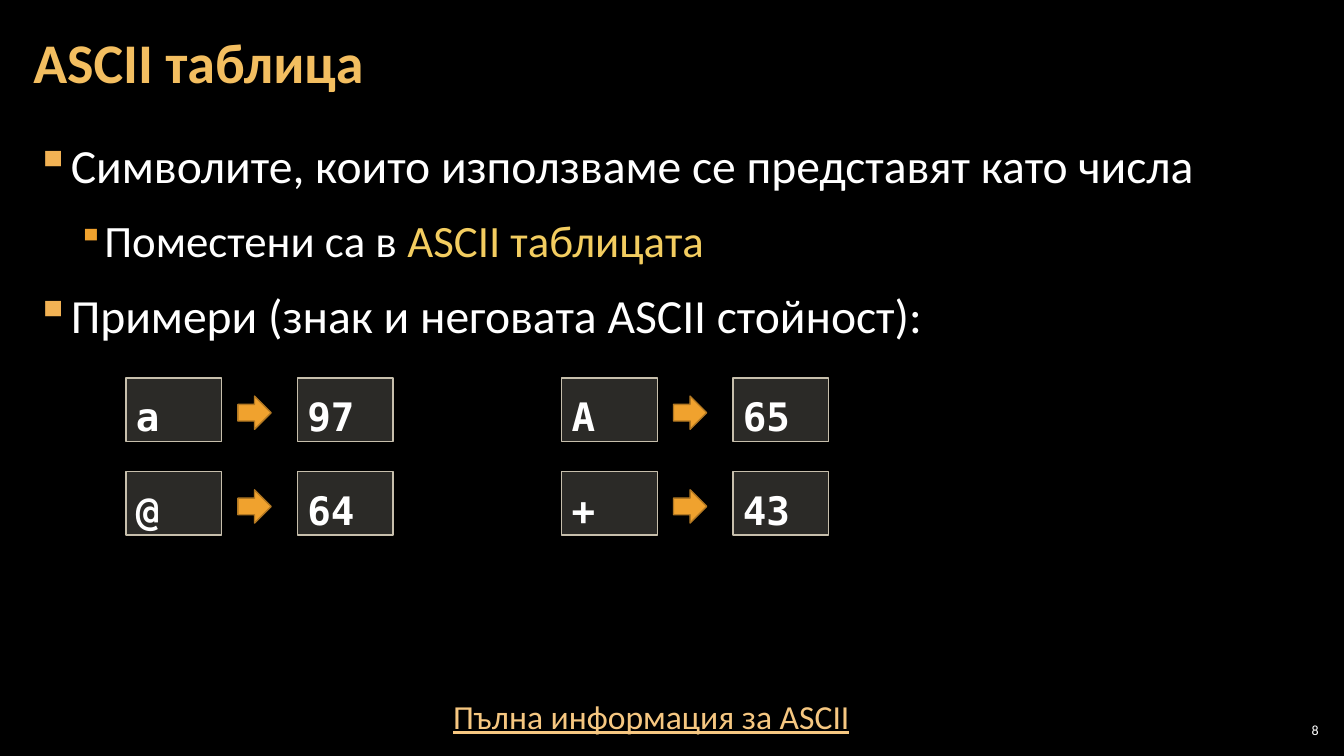
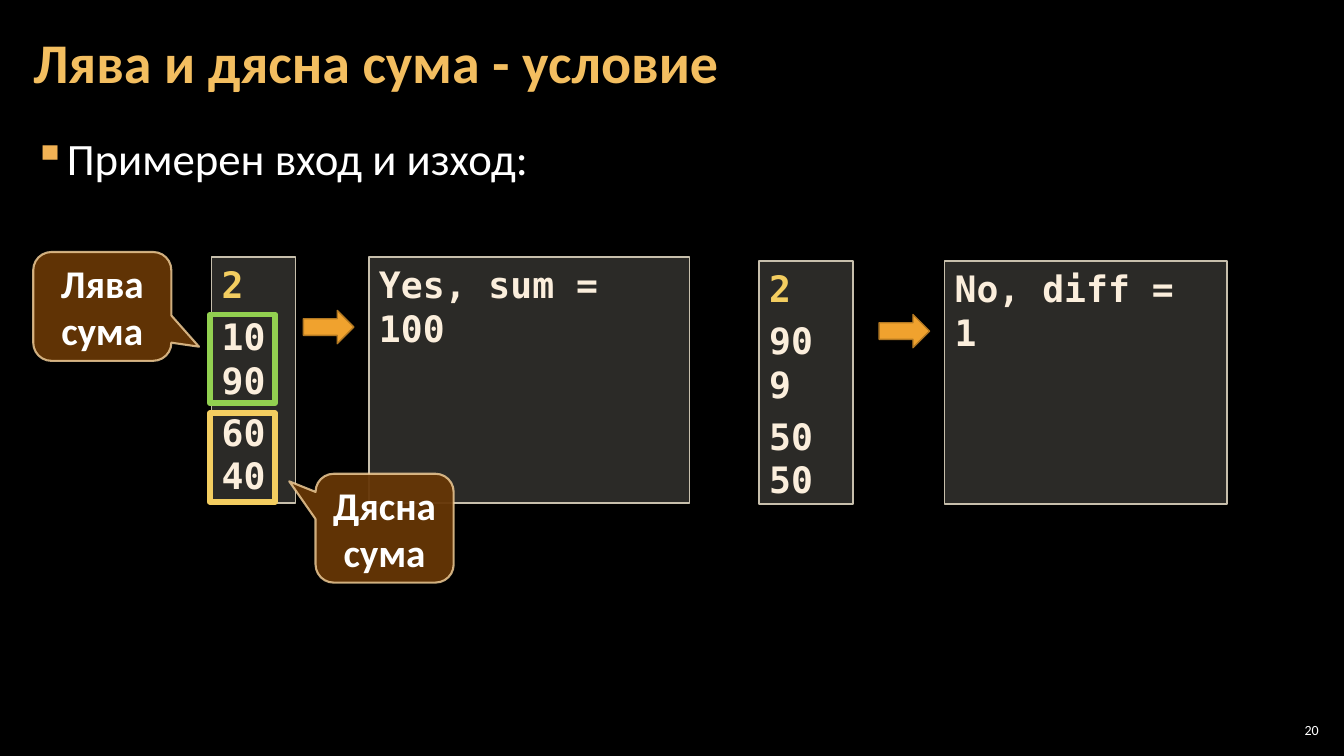
from dataclasses import dataclass

from lxml import etree
from pptx import Presentation
from pptx.dml.color import RGBColor
from pptx.enum import shapes, text
from pptx.oxml import ns
from pptx.util import Inches, Pt

SHAPE = shapes.MSO_SHAPE
ANCHOR = text.MSO_ANCHOR
ALIGN = text.PP_ALIGN


@dataclass(frozen=True)
class Theme:
    background: str = "000000"
    white: str = "FFFFFF"
    title: str = "F3BE60"
    highlight: str = "F3CD60"
    cream: str = "FBEEDC"
    link: str = "F6C781"
    bullets: tuple = ("F2B254", "F0A22E")
    panel: str = "D9D5C7"
    panel_line: str = "C7BFAC"
    arrow: str = "F0A22E"
    arrow_line: str = "B27822"
    callout: str = "663606"
    callout_line: str = "F8D49E"
    left_frame: str = "92D050"
    body_font: str = "Calibri"
    code_font: str = "DejaVu Sans Mono"
    title_size: int = 40
    body_size: int = 32
    large_body_size: int = 34
    label_size: int = 28
    code_size: int = 26
    link_size: int = 24
    number_size: int = 10


THEME = Theme()


def rgb(color):
    return RGBColor.from_string(color)


def write(frame, content, *, size, color=THEME.white, font=THEME.body_font, bold=False,
          underline=False, align=ALIGN.LEFT, spacing=1.0, before=0, after=0):
    """Add a paragraph; content is a string or a list of (string, color) runs."""
    first = frame.paragraphs[0]
    paragraph = frame.add_paragraph() if first.runs else first
    paragraph.alignment = align
    paragraph.line_spacing = spacing
    paragraph.space_before, paragraph.space_after = Pt(before), Pt(after)
    for words, run_color in [(content, color)] if isinstance(content, str) else content:
        run = paragraph.add_run()
        run.text = words
        run.font.name, run.font.size = font, Pt(size)
        run.font.bold, run.font.underline = bold, underline
        run.font.color.rgb = rgb(run_color)
    return paragraph


def add_bullet(paragraph, level):
    paragraph.level = level
    properties = paragraph._p.get_or_add_pPr()
    margin, hanging = ((0.33, 0.33), (0.67, 0.25))[level]
    properties.set("marL", str(Inches(margin)))
    properties.set("indent", str(-Inches(hanging)))
    tint = etree.SubElement(properties, ns.qn("a:buClr"))
    etree.SubElement(tint, ns.qn("a:srgbClr"), val=THEME.bullets[level])
    etree.SubElement(properties, ns.qn("a:buSzPct"), val=("100000", "80000")[level])
    etree.SubElement(properties, ns.qn("a:buChar"), char="▪")


def set_opacity(shape, fill_or_line, percent):
    for tint in shape._element.spPr.xpath(f"./{fill_or_line}/a:srgbClr"):
        etree.SubElement(tint, ns.qn("a:alpha"), val=str(percent * 1000))


def set_frame(frame, anchor=ANCHOR.TOP, side=0.1, edge=0.05):
    frame.word_wrap = True
    frame.auto_size = text.MSO_AUTO_SIZE.NONE
    frame.vertical_anchor = anchor
    frame.margin_left = frame.margin_right = Inches(side)
    frame.margin_top = frame.margin_bottom = Inches(edge)
    return frame


class Deck:
    def __init__(self, theme):
        self.theme = theme
        self.slide = None
        self.prs = Presentation()
        self.prs.slide_width, self.prs.slide_height = Inches(13.33), Inches(7.5)
        fill = self.prs.slide_master.background.fill
        fill.solid()
        fill.fore_color.rgb = rgb(theme.background)

    def new_slide(self, heading, number):
        self.slide = self.prs.slides.add_slide(self.prs.slide_layouts[5])
        title = self.slide.shapes.title
        title.left, title.top = Inches(0.21), Inches(0.04)
        title.width, title.height = Inches(10.47), Inches(1.21)
        write(set_frame(title.text_frame, ANCHOR.MIDDLE, 0.12, 0.04), heading,
              size=self.theme.title_size, color=self.theme.title, bold=True, spacing=0.9)
        footer = self.text_area(12.65, 7.14, 0.47, 0.21, ANCHOR.MIDDLE, 0.04, 0.04)
        write(footer, str(number), size=self.theme.number_size, align=ALIGN.RIGHT)

    def text_area(self, left, top, width, height, *frame_format):
        box = self.slide.shapes.add_textbox(*map(Inches, (left, top, width, height)))
        return set_frame(box.text_frame, *frame_format)

    def bullets(self, left, top, items, spacing=1.0):
        """Write items given as (level, size, content)."""
        body = self.text_area(left, top, 12.91, 6.09, ANCHOR.TOP, 0.12, 0.04)
        for level, size, content in items:
            add_bullet(write(body, content, size=size, spacing=spacing, before=6, after=6), level)

    def shape(self, preset, left, top, width, height, line, fill=None, weight=1):
        shape = self.slide.shapes.add_shape(preset, *map(Inches, (left, top, width, height)))
        shape.shadow.inherit = False
        if fill:
            shape.fill.solid()
            shape.fill.fore_color.rgb = rgb(fill)
        else:
            shape.fill.background()
        shape.line.color.rgb = rgb(line)
        shape.line.width = Pt(weight)
        return shape

    def panel(self, left, top, width, height):
        panel = self.shape(SHAPE.RECTANGLE, left, top, width, height,
                           self.theme.panel_line, self.theme.panel)
        set_opacity(panel, "a:solidFill", 20)
        return set_frame(panel.text_frame)

    def arrow(self, left, top, width):
        self.shape(SHAPE.RIGHT_ARROW, left, top, width, 0.33,
                   self.theme.arrow_line, self.theme.arrow)

    def highlight(self, left, top, color):
        self.shape(SHAPE.RECTANGLE, left, top, 0.65, 0.88, color, weight=4)

    def callout(self, left, top, label, tip):
        callout = self.shape(SHAPE.ROUNDED_RECTANGULAR_CALLOUT, left, top, 1.37, 1.08,
                             self.theme.callout_line, self.theme.callout, 1.5)
        callout.adjustments[0], callout.adjustments[1] = tip
        set_opacity(callout, "a:solidFill", 95)
        set_opacity(callout, "a:ln/a:solidFill", 80)
        write(set_frame(callout.text_frame, ANCHOR.MIDDLE), label,
              size=self.theme.label_size, bold=True, align=ALIGN.CENTER)

    def code_pair(self, left, top, character, code):
        """Show a character, an arrow and its ASCII value."""
        for offset, value in ((0, character), (1.7, code)):
            write(self.panel(left + offset, top, 0.95, 0.63), value, bold=True,
                  size=self.theme.label_size, font=self.theme.code_font, spacing=1.2)
        self.arrow(left + 1.11, top + 0.18, 0.33)

    def sample(self, top, height, numbers, numbers_at, arrow_left, result, result_at):
        """Show input numbers, an arrow and the result; *_at is (left, width)."""
        code = dict(size=self.theme.code_size, font=self.theme.code_font, bold=True)
        entry = self.panel(numbers_at[0], top, numbers_at[1], height)
        for index, number in enumerate(numbers):
            write(entry, number, before=6 if index % 2 else 0,
                  color=self.theme.cream if index else self.theme.highlight, **code)
        self.arrow(arrow_left, top + 0.53, 0.5)
        output = self.panel(result_at[0], top, result_at[1], height)
        write(output, result, color=self.theme.cream, **code)


def ascii_slide(deck):
    theme = deck.theme
    deck.new_slide("ASCII таблица", 8)
    deck.bullets(0.23, 1.28, [
        (0, theme.large_body_size, "Символите, които използваме се представят като числа"),
        (1, theme.body_size, [("Поместени са в ", theme.white),
                              ("ASCII таблицата", theme.highlight)]),
        (0, theme.large_body_size, "Примери (знак и неговата ASCII стойност):"),
    ], spacing=1.05)
    write(deck.text_area(0.42, 6.85, 12.08, 0.5), "Пълна информация за ASCII",
          size=theme.link_size, color=theme.link, underline=True, align=ALIGN.CENTER)
    for index, character in enumerate("aA@+"):
        row, column = divmod(index, 2)
        deck.code_pair(1.25 + 4.32 * column, 3.75 + 0.93 * row, character, str(ord(character)))


def sums_slide(deck):
    theme = deck.theme
    deck.new_slide("Лява и дясна сума - условие", 20)
    deck.bullets(0.21, 1.26, [(0, theme.body_size, "Примерен вход и изход:")])
    deck.sample(2.55, 2.44, ("2", "10", "90", "60", "40"), (2.1, 0.83),
                3.01, "Yes, sum = 100", (3.66, 3.18))
    deck.sample(2.59, 2.41, ("2", "90", "9", "50", "50"), (7.53, 0.93),
                8.72, "No, diff = 1", (9.37, 2.8))
    deck.highlight(2.08, 3.12, theme.left_frame)
    deck.highlight(2.08, 4.1, theme.highlight)
    deck.callout(0.33, 2.5, "Лява сума", (0.7, 0.37))
    deck.callout(3.13, 4.7, "Дясна сума", (-0.69, -0.43))


def main():
    deck = Deck(THEME)
    ascii_slide(deck)
    sums_slide(deck)
    deck.prs.save("out.pptx")


if __name__ == "__main__":
    main()
